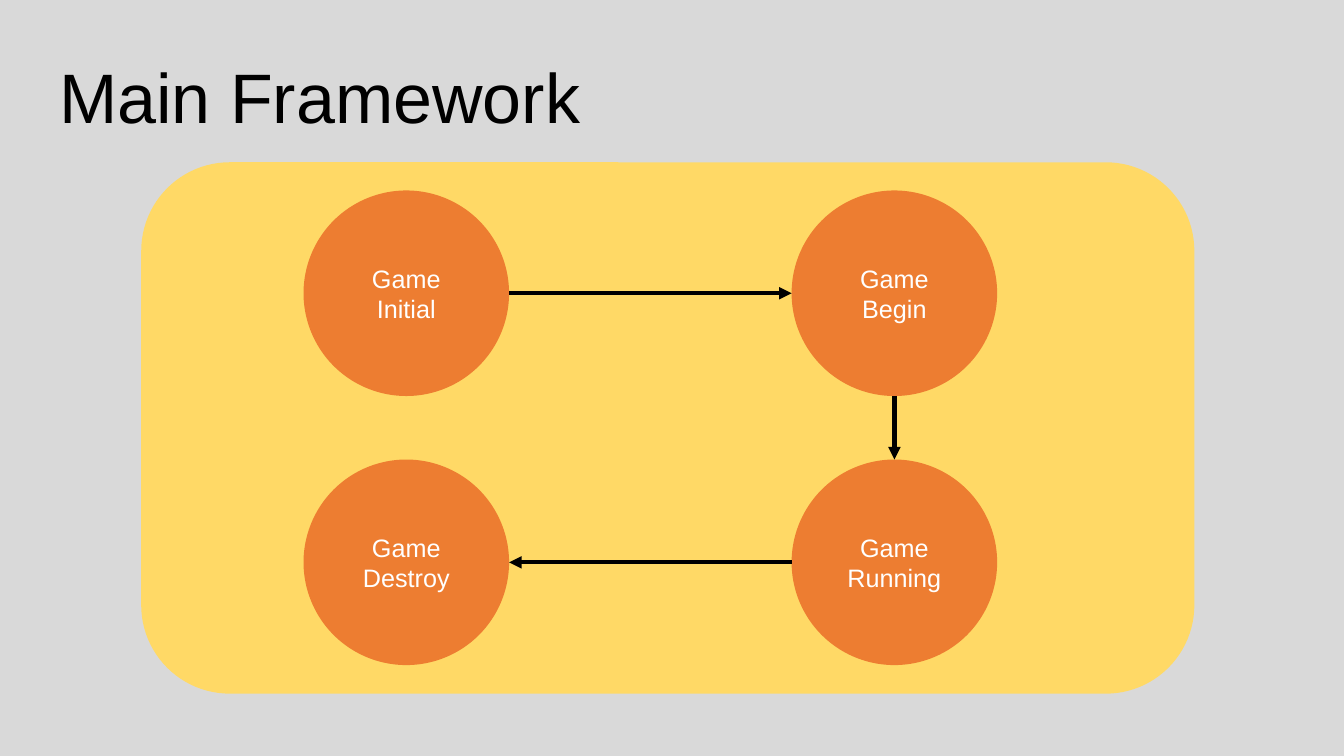
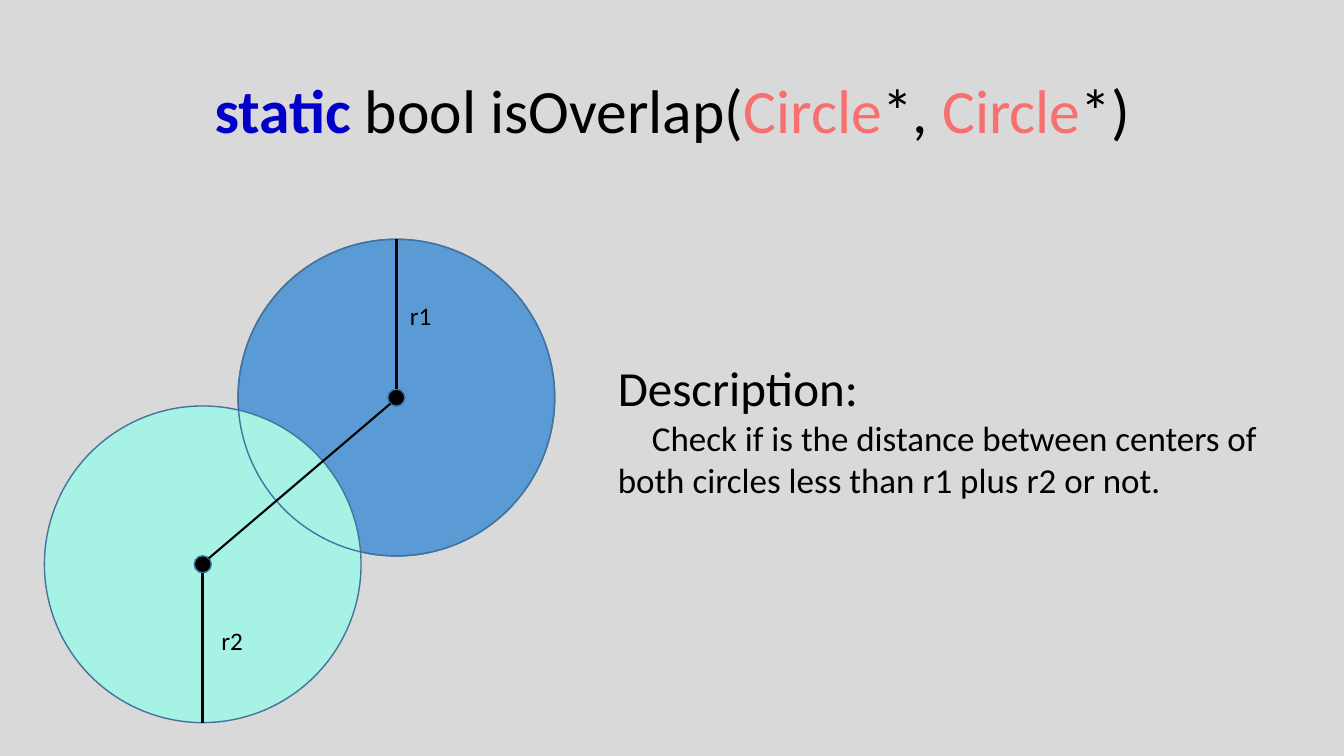
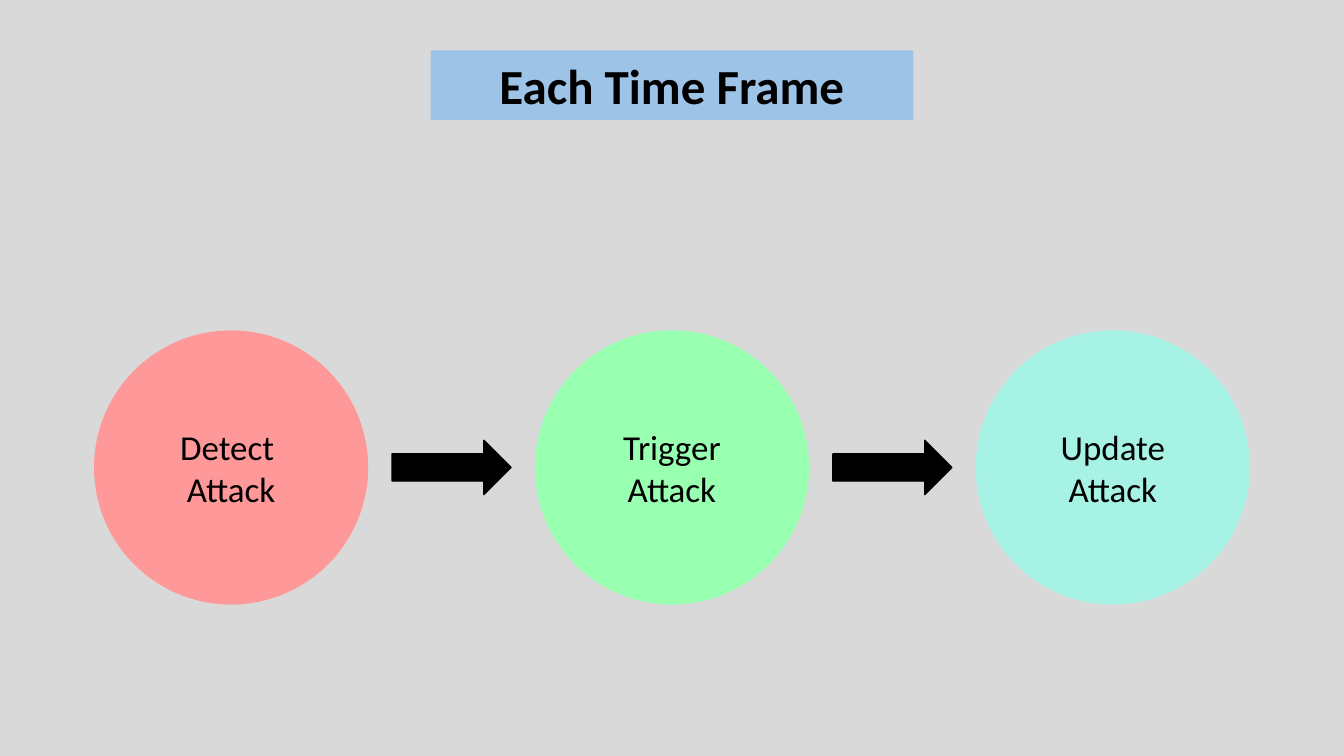
from dataclasses import dataclass
from itertools import pairwise

from lxml import etree
from pptx import Presentation
from pptx.dml.color import RGBColor
from pptx.enum import shapes, text
from pptx.oxml import ns
from pptx.util import Cm, Pt

# Colours
BACKGROUND = RGBColor(0xD9, 0xD9, 0xD9)
BLACK = RGBColor(0x00, 0x00, 0x00)
WHITE = RGBColor(0xFF, 0xFF, 0xFF)
YELLOW = RGBColor(0xFF, 0xD9, 0x66)
ORANGE = RGBColor(0xED, 0x7D, 0x31)
BLUE = RGBColor(0x5B, 0x9B, 0xD5)
OUTLINE = RGBColor(0x43, 0x73, 0x9E)
PALE_BLUE = RGBColor(0x9D, 0xC3, 0xE6)
AQUA = RGBColor(0xA6, 0xF2, 0xE5)
PINK = RGBColor(0xFF, 0x99, 0x99)
GREEN = RGBColor(0x99, 0xFF, 0xB1)
KEYWORD = RGBColor(0x00, 0x00, 0xC8)
TYPE_NAME = RGBColor(0xF7, 0x6F, 0x6F)

Kind = shapes.MSO_SHAPE
Align = text.PP_ALIGN
Anchor = text.MSO_ANCHOR
WIDTH, HEIGHT = 33.87, 19.05


# Descriptions, all lengths in centimetres
@dataclass(frozen=True)
class Area:
    left: float
    top: float
    width: float
    height: float

    def lengths(self) -> tuple:
        return Cm(self.left), Cm(self.top), Cm(self.width), Cm(self.height)


@dataclass(frozen=True)
class Point:
    x: float
    y: float

    def moved(self, dx: float, dy: float) -> "Point":
        return Point(self.x + dx, self.y + dy)

    def around(self, diameter: float) -> Area:
        return Area(self.x - diameter / 2, self.y - diameter / 2, diameter, diameter)


@dataclass(frozen=True)
class Span:
    words: str
    size: float
    color: RGBColor = BLACK
    font: str = "Calibri"
    bold: bool = False


@dataclass(frozen=True)
class Para:
    spans: tuple[Span, ...]
    align: Align = Align.CENTER
    indent: float = 0
    spacing: float = 1.0


# Drawing functions
def write(box, paras: list[Para], anchor: Anchor) -> None:
    frame = box.text_frame
    frame.word_wrap = True
    frame.vertical_anchor = anchor
    for number, para in enumerate(paras):
        line = frame.add_paragraph() if number else frame.paragraphs[0]
        line.alignment = para.align
        line.line_spacing = para.spacing
        if para.indent:
            line._p.get_or_add_pPr().set("indent", str(Cm(para.indent)))
        for span in para.spans:
            run = line.add_run()
            run.text = span.words
            run.font.name = span.font
            run.font.size = Pt(span.size)
            run.font.bold = span.bold
            run.font.color.rgb = span.color


def add_text(page, area: Area, paras: list[Para], anchor: Anchor = Anchor.TOP) -> None:
    write(page.shapes.add_textbox(*area.lengths()), paras, anchor)


def add_shape(page, kind: Kind, area: Area, fill: RGBColor | None = None,
              outline: RGBColor | None = None, paras: list[Para] | None = None,
              anchor: Anchor = Anchor.MIDDLE) -> None:
    shape = page.shapes.add_shape(kind, *area.lengths())
    shape.shadow.inherit = False
    if fill is None:
        shape.fill.background()
    else:
        shape.fill.solid()
        shape.fill.fore_color.rgb = fill
    if outline is None:
        shape.line.fill.background()
    else:
        shape.line.color.rgb = outline
        shape.line.width = Pt(1)
    if paras:
        write(shape, paras, anchor)


def add_line(page, start: Point, end: Point, weight: float, arrow: bool = False) -> None:
    line = page.shapes.add_connector(shapes.MSO_CONNECTOR.STRAIGHT, Cm(start.x), Cm(start.y),
                                     Cm(end.x), Cm(end.y))
    line.line.color.rgb = BLACK
    line.line.width = Pt(weight)
    if arrow:
        etree.SubElement(line.line._get_or_add_ln(), ns.qn("a:tailEnd"), type="triangle")
    etree.SubElement(line._element.spPr, ns.qn("a:effectLst"))


def stacked(lines: tuple[str, ...], size: float, color: RGBColor, font: str) -> list[Para]:
    return [Para((Span(line, size, color, font),)) for line in lines]


# Slides
def draw_framework(page) -> None:
    add_text(page, Area(1.24, 1.22, 18.59, 2.39),
             [Para((Span("Main Framework", 50, font="Arial"),), Align.LEFT)])
    add_shape(page, Kind.ROUNDED_RECTANGLE, Area(3.56, 4.09, 26.54, 13.39), YELLOW)

    diameter = 5.18
    left, right, top, bottom = 10.24, 22.54, 7.39, 14.17
    states = [
        (Point(left, top), ("Game Initial",)),
        (Point(right, top), ("Game", "Begin")),
        (Point(right, bottom), ("Game", "Running")),
        (Point(left, bottom), ("Game", "Destroy")),
    ]
    for center, lines in states:
        add_shape(page, Kind.OVAL, center.around(diameter), ORANGE,
                  paras=stacked(lines, 18, WHITE, "Arial"))

    # Arrows run from rim to rim
    for (start, _), (end, _) in pairwise(states):
        distance = math_distance(start, end)
        dx = (end.x - start.x) / distance * diameter / 2
        dy = (end.y - start.y) / distance * diameter / 2
        add_line(page, start.moved(dx, dy), end.moved(-dx, -dy), 3, arrow=True)


def math_distance(start: Point, end: Point) -> float:
    return ((end.x - start.x) ** 2 + (end.y - start.y) ** 2) ** 0.5


def draw_overlap(page) -> None:
    signature = (
        Span("static ", 44, KEYWORD, bold=True),
        Span("bool isOverlap(", 44),
        Span("Circle", 44, TYPE_NAME),
        Span("*, ", 44),
        Span("Circle", 44, TYPE_NAME),
        Span("*)", 44),
    )
    add_text(page, Area(2.34, 1.02, 29.21, 3.68), [Para(signature, spacing=0.9)], Anchor.MIDDLE)

    # Circles with their centres; the first rim stays visible over the second disc
    diameter, dot = 7.98, 0.43
    first, second = Point(9.99, 10.02), Point(5.11, 14.22)
    for center, fill in ((first, BLUE), (second, AQUA)):
        add_shape(page, Kind.OVAL, center.around(diameter), fill, OUTLINE)
        add_shape(page, Kind.OVAL, center.around(dot), BLACK, OUTLINE)
    add_shape(page, Kind.OVAL, first.around(diameter), outline=OUTLINE)

    # Distance and radii
    add_line(page, first.moved(-0.15, 0.15), second.moved(0.15, -0.15), 1.5)
    for center, side, label, label_at in ((first, -1, "r1", Point(9.98, 7.44)),
                                          (second, 1, "r2", Point(5.23, 15.62))):
        add_line(page, center.moved(0, side * dot / 2), center.moved(0, side * diameter / 2), 2.25)
        add_text(page, Area(label_at.x, label_at.y, 1.24, 1.02), [Para((Span(label, 18),))])

    add_text(page, Area(15.32, 8.89, 17.15, 3.89), [
        Para((Span("Description:", 35),), Align.LEFT),
        Para((Span("Check if is the distance between centers of both circles "
                   "less than r1 plus r2 or not.", 25),), Align.LEFT, indent=0.86),
    ])


def draw_time_frame(page) -> None:
    add_shape(page, Kind.RECTANGLE, Area(10.85, 1.27, 12.17, 1.75), PALE_BLUE,
              paras=[Para((Span("Each Time Frame", 35, bold=True),))], anchor=Anchor.TOP)

    diameter, pitch, middle = 6.91, 11.11, 11.78
    arrow_width, arrow_height = 3.0, 1.37
    steps = [
        (("Detect ", "Attack"), PINK),
        (("Trigger Attack",), GREEN),
        (("Update Attack",), AQUA),
    ]
    for number, (lines, fill) in enumerate(steps):
        center = Point(WIDTH / 2 + (number - 1) * pitch, middle)
        add_shape(page, Kind.OVAL, center.around(diameter), fill,
                  paras=stacked(lines, 25, BLACK, "Calibri"))
        if number:
            gap_center = center.x - pitch / 2
            add_shape(page, Kind.RIGHT_ARROW,
                      Area(gap_center - arrow_width / 2, middle - arrow_height / 2,
                           arrow_width, arrow_height), BLACK, BLACK)


def main() -> None:
    deck = Presentation()
    deck.slide_width, deck.slide_height = Cm(WIDTH), Cm(HEIGHT)
    backdrop = deck.slide_master.background.fill
    backdrop.solid()
    backdrop.fore_color.rgb = BACKGROUND
    blank = deck.slide_layouts[6]
    for draw in (draw_framework, draw_overlap, draw_time_frame):
        draw(deck.slides.add_slide(blank))
    deck.save("out.pptx")


if __name__ == "__main__":
    main()
